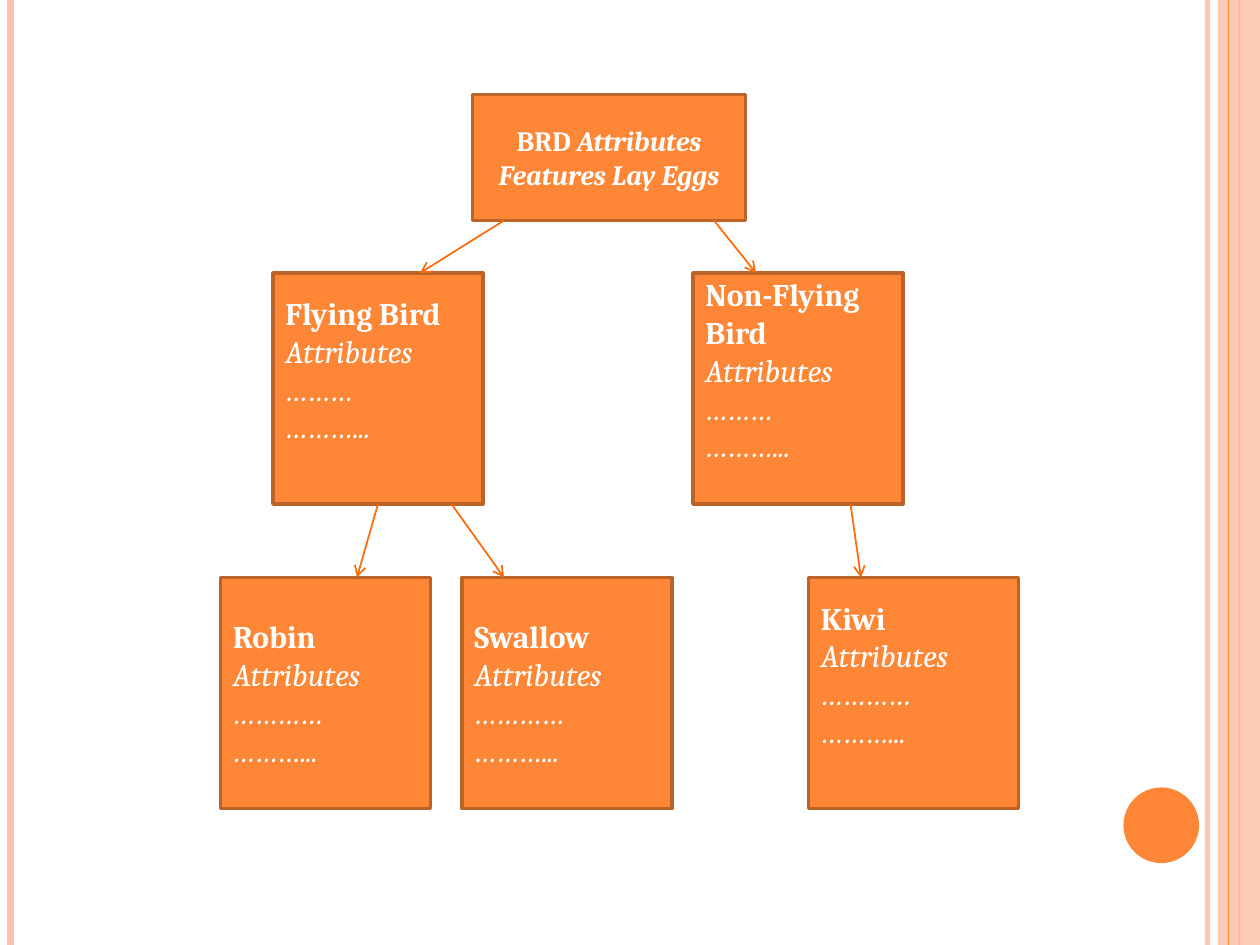
import pptx
import pptx.util
import pptx.dml.color
import pptx.enum.shapes
import pptx.enum.text
import pptx.oxml
import pptx.oxml.ns
from lxml import etree

Pt = pptx.util.Pt
SHAPES = pptx.enum.shapes.MSO_SHAPE
ALIGN = pptx.enum.text.PP_ALIGN
COLORS = {"orange": "FE8637", "border": "BC6329", "arrow": "FF6B0A", "pink": "FEC3AE", "white": "FFFFFF"}


class Diagram:
    font = "Cambria"

    def __init__(self, slide):
        self.slide = slide

    def color(self, name):
        return pptx.dml.color.RGBColor.from_string(COLORS[name])

    def set_alpha(self, element, percent):
        color = element.find(".//" + pptx.oxml.ns.qn("a:srgbClr"))
        etree.SubElement(color, pptx.oxml.ns.qn("a:alpha"), val=str(percent * 1000))

    def shape(self, kind, left, top, width, height, fill, border=None, alpha=None):
        shape = self.slide.shapes.add_shape(kind, Pt(left), Pt(top), Pt(width), Pt(height))
        shape.shadow.inherit = False
        shape.fill.solid()
        shape.fill.fore_color.rgb = self.color(fill)
        if alpha:
            self.set_alpha(shape._element.spPr, alpha)
        if border:
            shape.line.color.rgb = self.color(border)
            shape.line.width = Pt(2)
        else:
            shape.line.fill.background()
        return shape

    def line(self, start, end, color, width, alpha=None, arrow=False):
        connector = self.slide.shapes.add_connector(
            pptx.enum.shapes.MSO_CONNECTOR.STRAIGHT, *(Pt(value) for value in start + end))
        connector.line.color.rgb = self.color(color)
        connector.line.width = Pt(width)
        properties = connector._element.spPr
        if alpha:
            self.set_alpha(properties, alpha)
        if arrow:
            etree.SubElement(connector.line._get_or_add_ln(), pptx.oxml.ns.qn("a:tailEnd"), type="arrow")
        etree.SubElement(properties, pptx.oxml.ns.qn("a:effectLst"))

    def box(self, left, top, width, height, paragraphs, size, align=ALIGN.LEFT, lift=0):
        shape = self.shape(SHAPES.RECTANGLE, left, top, width, height, "orange", "border")
        frame = shape.text_frame
        frame.word_wrap = True
        frame.vertical_anchor = pptx.enum.text.MSO_ANCHOR.MIDDLE
        frame.margin_left = frame.margin_right = Pt(7.2)
        frame.margin_top = Pt(0)
        frame.margin_bottom = Pt(lift)
        for index, runs in enumerate(paragraphs):
            paragraph = frame.add_paragraph() if index else frame.paragraphs[0]
            paragraph.alignment = align
            for text, bold, italic in runs:
                run = paragraph.add_run()
                run.text = text
                run.font.name = self.font
                run.font.size = Pt(size)
                run.font.bold = bold
                run.font.italic = italic
                run.font.color.rgb = self.color("white")

    def bird(self, name, left, top, dots, lift):
        details = ["Attributes", dots, "………..."]
        paragraphs = [[(name, True, False)]] + [[(text, False, True)] for text in details]
        self.box(left, top, 120, 132, paragraphs, 18, lift=lift)


presentation = pptx.Presentation()
presentation.slide_width = Pt(720)
presentation.slide_height = Pt(540)
diagram = Diagram(presentation.slides.add_slide(presentation.slide_layouts[6]))

for x, color, width, alpha in [(690, "pink", 3, 93), (6, "pink", 4.5, None), (708, "orange", 1.5, None)]:
    diagram.line((x, 0), (x, 540), color, width, alpha)
diagram.shape(SHAPES.RECTANGLE, 696, 0, 24, 540, "pink", alpha=87)
diagram.line((702, 0), (702, 540), "orange", 0.75)
diagram.shape(SHAPES.OVAL, 642, 450, 43.2, 43.2, "orange")

diagram.box(270, 54, 156, 72,
            [[("BRD ", True, False), ("Attributes Features Lay Eggs", True, True)]], 16, ALIGN.CENTER)

groups, species, blank_line = 156, 330, 21.6
for name, left, top, dots, lift in [
    ("Flying Bird", 156, groups, "………", blank_line),
    ("Non-Flying Bird", 396, groups, "………", blank_line),
    ("Robin", 126, species, "…………", 0),
    ("Swallow", 264, species, "…………", 0),
    ("Kiwi", 462, species, "…………", blank_line),
]:
    diagram.bird(name, left, top, dots, lift)

for start_x, end_x, start_y, end_y in [
    (288, 240, 126, groups),
    (408, 432, 126, groups),
    (216, 204, 288, species),
    (258, 288, 288, species),
    (486, 492, 288, species),
]:
    diagram.line((start_x, start_y), (end_x, end_y), "arrow", 1, arrow=True)

presentation.save("out.pptx")
